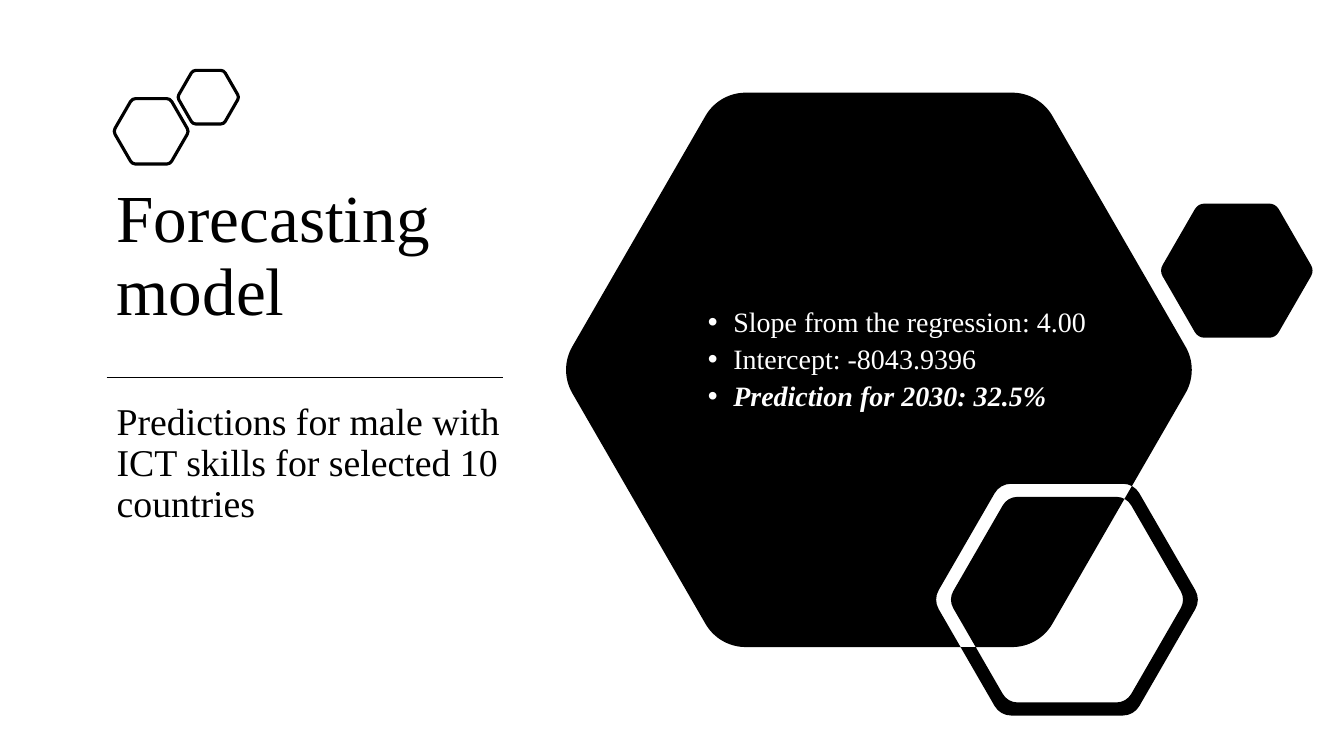
from math import cos, radians, sin, sqrt, tan

from lxml.etree import SubElement
from pptx import Presentation
from pptx.dml.color import RGBColor
from pptx.enum.shapes import MSO_CONNECTOR
from pptx.enum.text import MSO_ANCHOR, PP_ALIGN
from pptx.oxml.ns import qn
from pptx.util import Cm, Pt

BLACK = RGBColor(0, 0, 0)
WHITE = RGBColor(255, 255, 255)
FONT = "Times New Roman"

# Text, size in points, space before in points
HEADING = [
    ("Forecasting model", 48, 0),
    ("Predictions for male with ICT skills for selected 10 countries", 27, 52),
]
# Text, emphasised
FINDINGS = [
    ("Slope from the regression: 4.00", False),
    ("Intercept: -8043.9396", False),
    ("Prediction for 2030: 32.5%", True),
]
HEADING_BOX = (2.69, 4.53, 10.31, 9.65)
FINDINGS_BOX = (16.33, 5.39, 11.43, 7.39)
RULE = (2.69, 9.52, 12.67, 9.52)

# Hexagons in cm: centre x, centre y, height, corner radius
OUTLINED = [(3.81, 3.31, 1.65, 0.15), (5.25, 2.45, 1.35, 0.13)]
FILLED = [
    (22.15, 9.32, 13.97, 1.17),
    (31.17, 6.82, 3.38, 0.28),
    (26.89, 15.11, 5.84, 0.48),
    (26.89, 15.11, 5.18, 0.43),
]
CORNER_POINTS = 4  # arc start, two handles, arc end
CONTOUR_LINES = 6 * CORNER_POINTS - 1


def hexagon_points(cx, cy, height, radius):
    """Curve points of a flat-topped regular hexagon with rounded corners."""
    reach = (height / 2 - radius) * 2 / sqrt(3)
    handle = radius * 4 / 3 * tan(radians(15))
    points = []
    for corner in range(0, 360, 60):
        x = cx + reach * cos(radians(corner))
        y = cy + reach * sin(radians(corner))
        first, last = radians(corner - 30), radians(corner + 30)
        for turn, shift in ((first, 0), (first, handle), (last, -handle), (last, 0)):
            points.append((Cm(x + radius * cos(turn) - shift * sin(turn)),
                           Cm(y + radius * sin(turn) + shift * cos(turn))))
    return points


def round_corners(sp):
    """Turn the three lines at each corner into one Bézier curve."""
    lines = list(sp._element.iter(qn("a:lnTo")))
    for start in range(0, len(lines), CONTOUR_LINES):
        for k in range(start, start + CONTOUR_LINES, CORNER_POINTS):
            curve, *handles = lines[k:k + 3]
            curve.tag = qn("a:cubicBezTo")
            for line in handles:
                curve.append(line[0])
                line.getparent().remove(line)


def add_hexagons(hexagons):
    """Add one freeform; areas where its contours overlap alternate in fill."""
    contours = [hexagon_points(*hexagon) for hexagon in hexagons]
    builder = s.shapes.build_freeform(*contours[0][0], scale=1.0)
    for i, points in enumerate(contours):
        if i:
            builder.move_to(*points[0])
        builder.add_line_segments(points[1:], close=True)
    sp = builder.convert_to_shape()
    sp.shadow.inherit = False
    round_corners(sp)
    return sp


def add_text(box, anchor):
    tf = s.shapes.add_textbox(*map(Cm, box)).text_frame
    tf.word_wrap = True
    tf.vertical_anchor = anchor
    return tf


def add_paragraph(tf, text, size, color, before):
    p = tf.paragraphs[0] if not tf.text else tf.add_paragraph()
    p.text = text
    p.alignment = PP_ALIGN.LEFT
    p.line_spacing = 0.9
    p.space_before = Pt(before)
    font = p.runs[0].font
    font.name = FONT
    font.size = Pt(size)
    font.color.rgb = color
    return p


prs = Presentation()
prs.slide_width, prs.slide_height = Cm(33.87), Cm(19.05)
s = prs.slides.add_slide(prs.slide_layouts[6])

for hexagon in OUTLINED:
    sp = add_hexagons([hexagon])
    sp.fill.background()
    sp.line.color.rgb = BLACK
    sp.line.width = Pt(2.25)

sp = add_hexagons(FILLED)
sp.fill.solid()
sp.fill.fore_color.rgb = BLACK
sp.line.fill.background()

tf = add_text(HEADING_BOX, MSO_ANCHOR.TOP)
for text, size, before in HEADING:
    add_paragraph(tf, text, size, BLACK, before)

tf = add_text(FINDINGS_BOX, MSO_ANCHOR.MIDDLE)
for text, emphasised in FINDINGS:
    p = add_paragraph(tf, text, 20, WHITE, 5)
    if emphasised:
        p.runs[0].font.bold = p.runs[0].font.italic = True
    pPr = p._p.get_or_add_pPr()
    pPr.set("marL", str(Cm(1.9)))
    pPr.set("indent", str(-Cm(0.64)))
    SubElement(pPr, qn("a:buFont")).set("typeface", "Arial")
    SubElement(pPr, qn("a:buChar")).set("char", "•")

rule = s.shapes.add_connector(MSO_CONNECTOR.STRAIGHT, *map(Cm, RULE))
rule.line.color.rgb = BLACK
rule.line.width = Pt(1)
SubElement(rule._element.spPr, qn("a:effectLst"))

prs.save("out.pptx")
